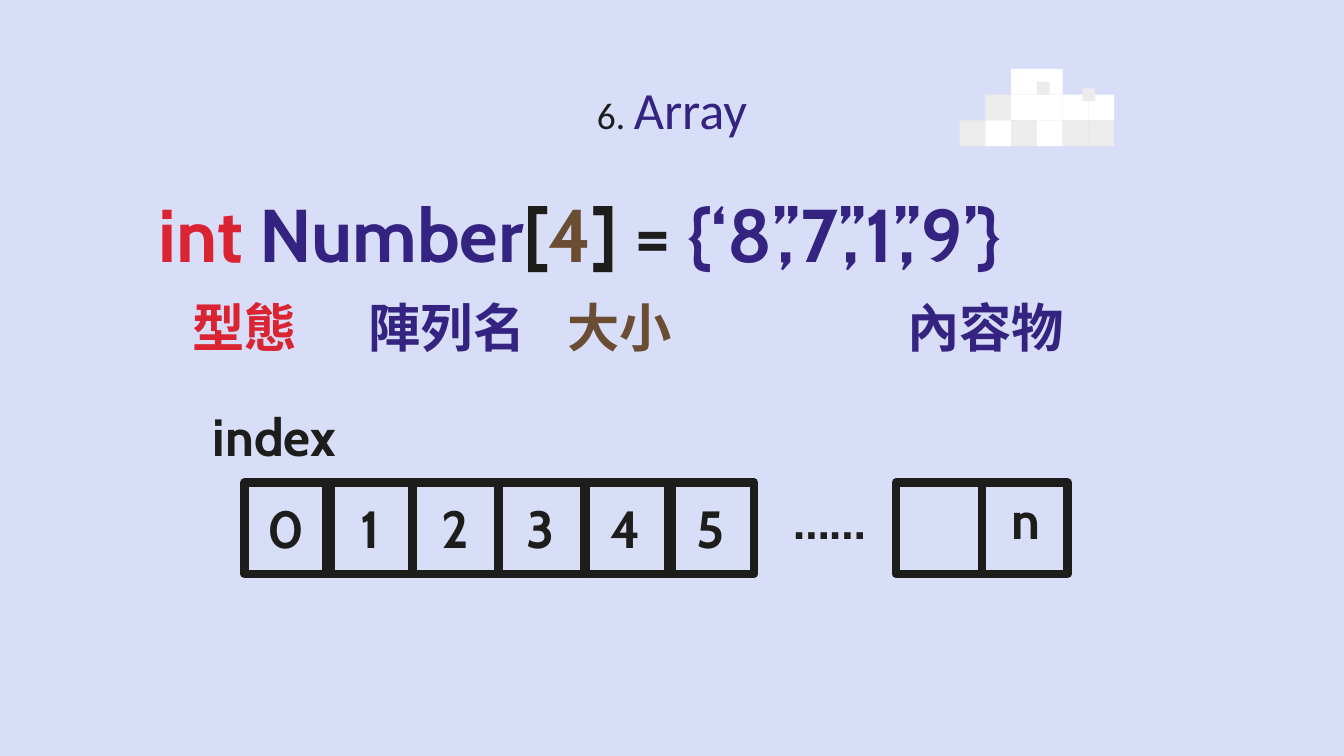
from pptx import Presentation
from pptx.dml.color import RGBColor
from pptx.enum.shapes import MSO_SHAPE as Shape
from pptx.enum.text import MSO_ANCHOR as Anchor, MSO_AUTO_SIZE as AutoSize, PP_ALIGN as Align
from pptx.util import Pt

INK, PURPLE, RED, BROWN = "1D1D1B", "352381", "DA2432", "6B4D34"
WHITE, GREY = "FFFFFF", "ECECEC"


def color(hex_code):
    return RGBColor.from_string(hex_code)


def write(shape, runs, font_name, bold, align=Align.CENTER):
    frame = shape.text_frame
    frame.word_wrap = True
    frame.auto_size = AutoSize.NONE
    frame.vertical_anchor = Anchor.MIDDLE
    frame.margin_left = frame.margin_right = frame.margin_top = frame.margin_bottom = 0
    paragraph = frame.paragraphs[0]
    paragraph.alignment = align
    paragraph.font.name = font_name
    paragraph.font.bold = bold
    for text, size, hex_code in runs:
        run = paragraph.add_run()
        run.text = text
        run.font.size = Pt(size)
        run.font.color.rgb = color(hex_code)


presentation = Presentation()
presentation.slide_width = Pt(720)
presentation.slide_height = Pt(405)
slide = presentation.slides.add_slide(presentation.slide_layouts[5])
slide.background.fill.solid()
slide.background.fill.fore_color.rgb = color("D9DEF8")

title = slide.shapes.title
title.left, title.top, title.width, title.height = Pt(56.5), Pt(35.5), Pt(607), Pt(45)
write(title, [("6. ", 20, INK), ("Array", 28, PURPLE)], "Calibri", False)

pixel = 13.8
cloud_rows = ["  WW  ", " GWWWW", "GWGWGG"]
squares = [
    (514.1 + column * pixel, 36.9 + row * pixel, pixel, WHITE if mark == "W" else GREY)
    for row, marks in enumerate(cloud_rows)
    for column, mark in enumerate(marks)
    if mark != " "
]
squares += [(555.5, 43.8, 6.9, GREY), (579.8, 47.3, 6.9, GREY)]
cloud = slide.shapes.add_group_shape()
for left, top, size, hex_code in squares:
    square = cloud.shapes.add_shape(Shape.RECTANGLE, Pt(left), Pt(top), Pt(size), Pt(size))
    square.shadow.inherit = False
    square.fill.solid()
    square.fill.fore_color.rgb = color(hex_code)
    square.line.fill.background()

declaration = slide.shapes.add_textbox(Pt(85), Pt(93.6), Pt(599), Pt(62.6))
declaration_runs = [
    ("int ", 40, RED),
    ("Number", 40, PURPLE),
    ("[", 40, INK),
    ("4", 40, BROWN),
    ("] = ", 40, INK),
    ("{‘8’,’7’,’1’,’9’}", 40, PURPLE),
]
write(declaration, declaration_runs, "Cabin", True, Align.LEFT)

for left in (131, 175, 221, 267, 314, 358, 480, 526):
    cell = slide.shapes.add_shape(Shape.RECTANGLE, Pt(left), Pt(258.5), Pt(46), Pt(49))
    cell.shadow.inherit = False
    cell.fill.background()
    cell.line.color.rgb = color(INK)
    cell.line.width = Pt(4.5)

labels = [
    ("型態", 90, 157, 82, RED),
    ("陣列名", 191.5, 157, 96, PURPLE),
    ("大小", 296.6, 157, 71, BROWN),
    ("內容物", 480, 157, 96, PURPLE),
    ("index", 106, 215.3, 82, INK),
    ("……", 409, 260, 71, INK),
    ("n", 532, 260, 35, INK),
]
labels += [(str(index), 135.5 + 45.5 * index, 264.5, 35, INK) for index in range(6)]
for text, left, top, width, hex_code in labels:
    label = slide.shapes.add_textbox(Pt(left), Pt(top), Pt(width), Pt(36))
    write(label, [(text, 28, hex_code)], "Cabin", True)

presentation.save("out.pptx")
